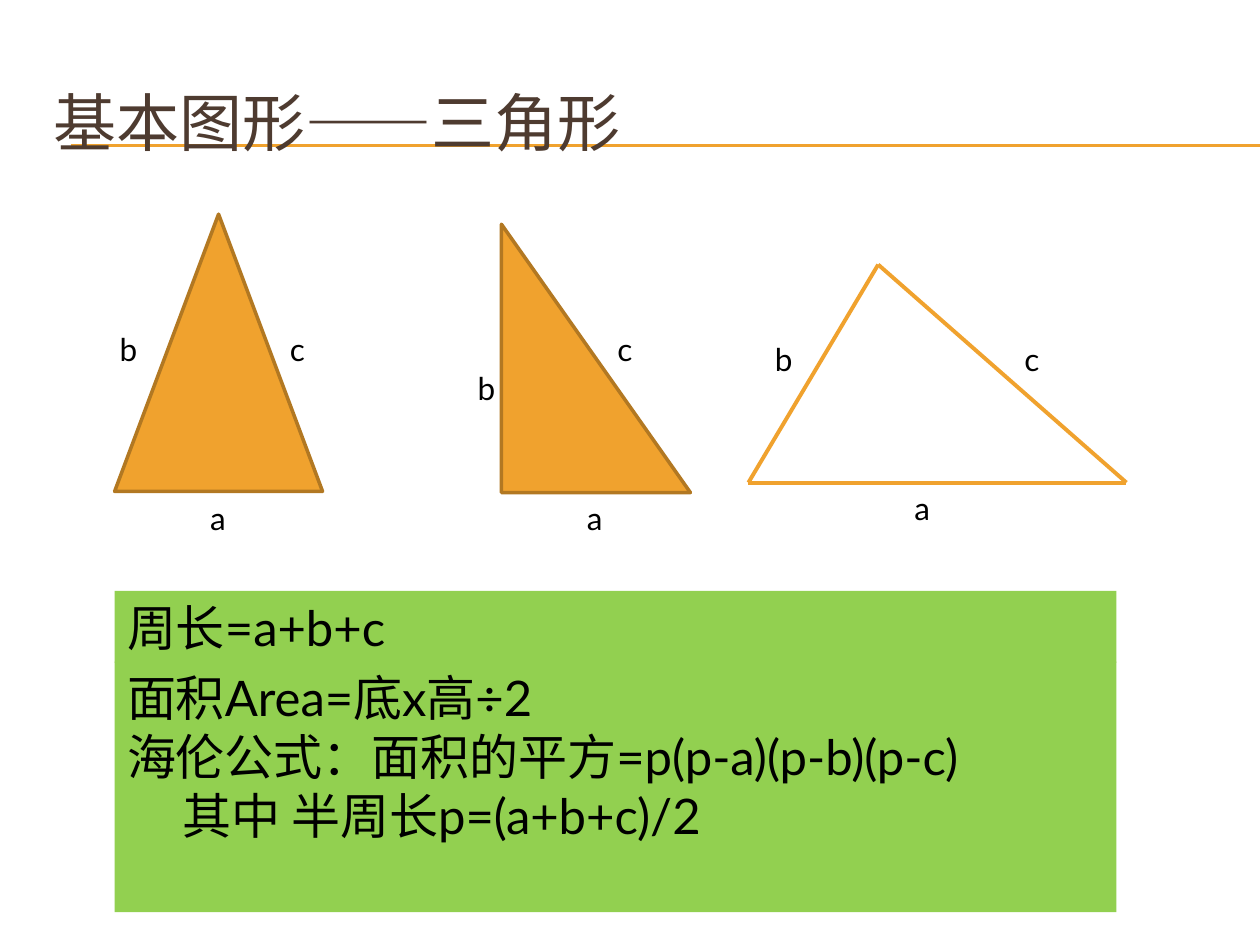
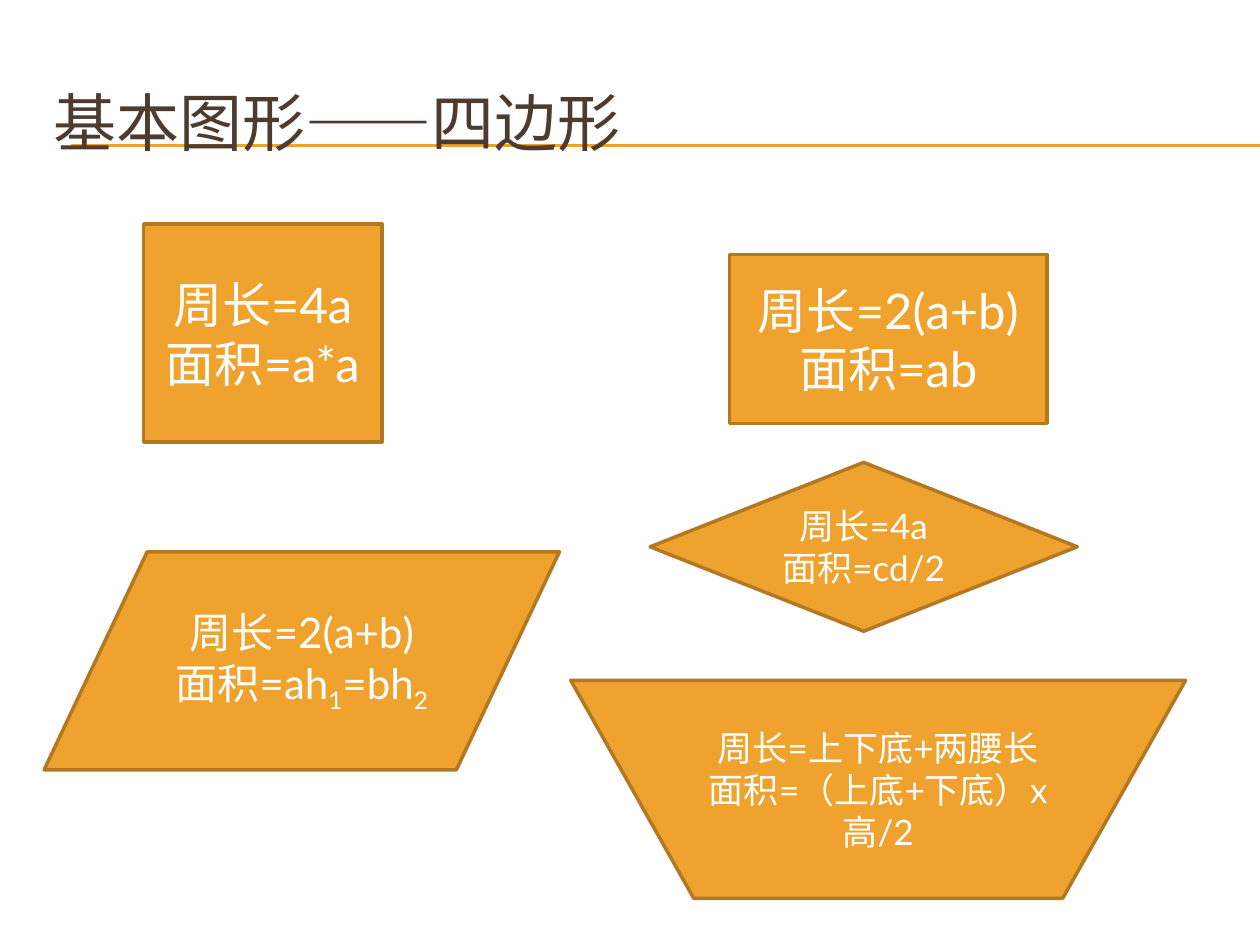
from typing import NamedTuple

from lxml.etree import SubElement
from pptx import Presentation
from pptx.dml.color import RGBColor
from pptx.enum.shapes import MSO_CONNECTOR, MSO_SHAPE as Preset
from pptx.enum.text import MSO_ANCHOR as Anchor, PP_ALIGN as Align
from pptx.oxml.ns import qn
from pptx.util import Inches, Pt

FONT = "Lato"
ORANGE = "F0A22E"
DARK_ORANGE = "B27822"
GREEN = "92D050"
BROWN = "4E3B30"
BLACK = "000000"
WHITE = "FFFFFF"
LABEL_WIDTH, LABEL_HEIGHT = 1.02, 0.4
FORMULA_INDENT = 0.44


class Box(NamedTuple):
    left: float
    top: float
    width: float
    height: float


class Label(NamedTuple):
    text: str
    center: float
    top: float


class Side(NamedTuple):
    start: tuple[float, float]
    end: tuple[float, float]


class Line(NamedTuple):
    pieces: tuple[str, ...]
    indent: float = 0


class Figure(NamedTuple):
    preset: Preset
    box: Box
    size: int = 18
    lines: tuple[Line, ...] = ()


RULES = [Side((0.56, y), (10, y)) for y in (1.15, 1.16)]
TRIANGLES = [
    Figure(Preset.ISOSCELES_TRIANGLE, Box(0.91, 1.7, 1.65, 2.2)),
    Figure(Preset.RIGHT_TRIANGLE, Box(3.98, 1.78, 1.5, 2.13)),
]
APEX, LEFT_CORNER, RIGHT_CORNER = (6.97, 2.1), (5.94, 3.83), (8.94, 3.83)
SIDES = [Side(APEX, RIGHT_CORNER), Side(APEX, LEFT_CORNER), Side(LEFT_CORNER, RIGHT_CORNER)]
SIDE_LABELS = [
    Label("a", 1.73, 3.91), Label("b", 1.02, 2.57), Label("c", 2.36, 2.57),
    Label("a", 4.72, 3.91), Label("b", 3.86, 2.88), Label("c", 4.96, 2.57),
    Label("a", 7.32, 3.83), Label("b", 6.22, 2.65), Label("c", 8.19, 2.65),
]
FORMULAS = [
    Figure(Preset.RECTANGLE, Box(0.91, 4.69, 7.95, 0.57), 28, (Line(("周长=a+b+c",)),)),
    Figure(Preset.RECTANGLE, Box(0.91, 5.25, 7.95, 1.99), 28, (
        Line(("面积Area=底x高÷2",)),
        Line(("海伦公式：面积的平方=p(p-a)(p-b)(p-c)",)),
        Line(("其中 半周长p=(a+b+c)/2",), FORMULA_INDENT),
    )),
]
QUADRILATERALS = [
    Figure(Preset.RECTANGLE, Box(1.14, 1.78, 1.89, 1.73), 28,
           (Line(("周长=4a",)), Line(("面积=a*a",)))),
    Figure(Preset.RECTANGLE, Box(5.79, 2.02, 2.52, 1.34), 28,
           (Line(("周长=2(a+b)",)), Line(("面积=ab",)))),
    Figure(Preset.FLOWCHART_DATA, Box(0.35, 4.38, 4.09, 1.73), 24,
           (Line(("周长=2(a+b)",)), Line(("面积=ah", "1", "=bh", "2")))),
    Figure(Preset.FLOWCHART_DECISION, Box(5.16, 3.67, 3.39, 1.34), 20,
           (Line(("周长=4a",)), Line(("面积=cd/2",)))),
    Figure(Preset.FLOWCHART_MANUAL_OPERATION, Box(4.53, 5.4, 4.88, 1.73), 20,
           (Line(("周长=上下底+两腰长",)), Line(("面积=（上底+下底）x高/2",)))),
]


def rgb(color: str) -> RGBColor:
    return RGBColor.from_string(color)


def inches(values) -> list:
    return [Inches(value) for value in values]


def write(frame, lines: tuple[Line, ...], size: int, color: str, align: Align, anchor: Anchor) -> None:
    frame.word_wrap = True
    frame.vertical_anchor = anchor
    for number, line in enumerate(lines):
        paragraph = frame.add_paragraph() if number else frame.paragraphs[0]
        paragraph.alignment = align
        paragraph.font.name = FONT
        paragraph.font.size = Pt(size)
        paragraph.font.color.rgb = rgb(color)
        if line.indent:
            paragraph._p.get_or_add_pPr().set("marL", str(Inches(line.indent)))
        for position, piece in enumerate(line.pieces):
            run = paragraph.add_run()
            run.text = piece
            if position % 2:
                run._r.get_or_add_rPr().set("baseline", "-25000")


def add_text(slide, box: Box, text: str, size: int, color: str, align: Align, anchor: Anchor) -> None:
    frame = slide.shapes.add_textbox(*inches(box)).text_frame
    write(frame, (Line((text,)),), size, color, align, anchor)


def add_side(slide, side: Side, width: float) -> None:
    connector = slide.shapes.add_connector(MSO_CONNECTOR.STRAIGHT, *inches(side.start + side.end))
    connector.line.color.rgb = rgb(ORANGE)
    connector.line.width = Pt(width)
    SubElement(connector._element.spPr, qn("a:effectLst"))


def add_figure(slide, figure: Figure, fill: str):
    shape = slide.shapes.add_shape(figure.preset, *inches(figure.box))
    shape.shadow.inherit = False
    shape.fill.solid()
    shape.fill.fore_color.rgb = rgb(fill)
    return shape


def add_outlined(slide, figure: Figure) -> None:
    shape = add_figure(slide, figure, ORANGE)
    shape.line.color.rgb = rgb(DARK_ORANGE)
    shape.line.width = Pt(2)
    write(shape.text_frame, figure.lines, figure.size, WHITE, Align.CENTER, Anchor.MIDDLE)


def add_formula(slide, figure: Figure) -> None:
    shape = add_figure(slide, figure, GREEN)
    shape.line.fill.background()
    write(shape.text_frame, figure.lines, figure.size, BLACK, Align.LEFT, Anchor.TOP)


def add_label(slide, label: Label) -> None:
    box = Box(label.center - LABEL_WIDTH / 2, label.top, LABEL_WIDTH, LABEL_HEIGHT)
    add_text(slide, box, label.text, 18, BLACK, Align.CENTER, Anchor.TOP)


def add_titled_slide(deck, topic: str):
    slide = deck.slides.add_slide(deck.slide_layouts[6])
    for rule in RULES:
        add_side(slide, rule, 0.75)
    add_text(slide, Box(0.33, 0.5, 9.5, 0.92), f"基本图形——{topic}", 36, BROWN, Align.LEFT, Anchor.MIDDLE)
    return slide


def build_triangles(deck) -> None:
    slide = add_titled_slide(deck, "三角形")
    for triangle in TRIANGLES:
        add_outlined(slide, triangle)
    for side in SIDES:
        add_side(slide, side, 2.25)
    for label in SIDE_LABELS:
        add_label(slide, label)
    for formula in FORMULAS:
        add_formula(slide, formula)


def build_quadrilaterals(deck) -> None:
    slide = add_titled_slide(deck, "四边形")
    for quadrilateral in QUADRILATERALS:
        add_outlined(slide, quadrilateral)


def main() -> None:
    deck = Presentation()
    deck.slide_width, deck.slide_height = Inches(10), Inches(7.5)
    build_triangles(deck)
    build_quadrilaterals(deck)
    deck.save("out.pptx")


if __name__ == "__main__":
    main()
